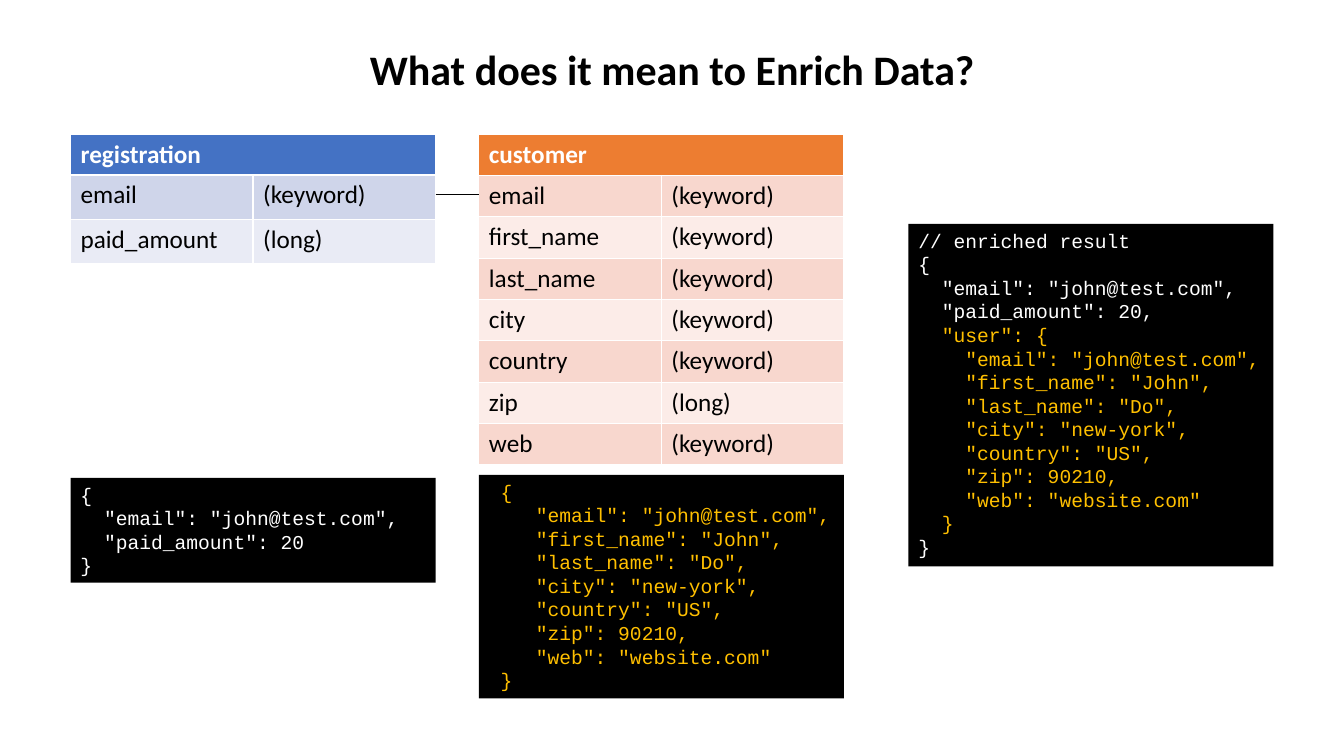
"""Build the slide that explains enriching a registration with customer data."""
from dataclasses import dataclass

from pptx import Presentation
from pptx.dml.color import RGBColor
from pptx.enum.shapes import MSO_CONNECTOR, MSO_SHAPE
from pptx.enum.text import MSO_ANCHOR, PP_ALIGN
from pptx.oxml import parse_xml
from pptx.util import Inches, Pt

BLACK = RGBColor(0x00, 0x00, 0x00)
WHITE = RGBColor(0xFF, 0xFF, 0xFF)
GOLD = RGBColor(0xFF, 0xC0, 0x00)
BLUE = RGBColor(0x44, 0x72, 0xC4)
BLUE_BANDS = (RGBColor(0xCF, 0xD5, 0xEA), RGBColor(0xE9, 0xEB, 0xF5))
ORANGE = RGBColor(0xED, 0x7D, 0x31)
ORANGE_BANDS = (RGBColor(0xF8, 0xD7, 0xCE), RGBColor(0xFC, 0xEC, 0xE8))

TEXT_FONT, CODE_FONT = "Calibri", "Courier New"
CODE_SIZE = 14
CODE_CHAR = Pt(CODE_SIZE * 0.6)
REGISTRATION_X, CUSTOMER_X, RESULT_X = 5.25, 35.63, 67.59
COLUMN_WIDTH = 27.16
TABLE_TOP = 17.73
LINK_Y = 25.73


@dataclass(frozen=True)
class FieldTable:
    name: str
    left: float
    header_height: float
    row_height: float
    header: RGBColor
    bands: tuple[RGBColor, RGBColor]
    fields: tuple[tuple[str, str], ...]


@dataclass(frozen=True)
class CodeLine:
    indent: int
    text: str
    color: RGBColor = WHITE


@dataclass(frozen=True)
class CodeBox:
    left: float
    top: float
    height: float
    lines: tuple[CodeLine, ...]


EMAIL = '"email": "john@test.com",'
CUSTOMER_VALUES = (EMAIL, '"first_name": "John",', '"last_name": "Do",', '"city": "new-york",',
                   '"country": "US",', '"zip": 90210,', '"web": "website.com"')
CUSTOMER_LINES = tuple(CodeLine(4, value, GOLD) for value in CUSTOMER_VALUES)

TABLES = (
    FieldTable("customer", CUSTOMER_X, 5.47, 5.47, ORANGE, ORANGE_BANDS, (
        ("email", "(keyword)"), ("first_name", "(keyword)"), ("last_name", "(keyword)"),
        ("city", "(keyword)"), ("country", "(keyword)"), ("zip", "(long)"), ("web", "(keyword)"))),
    FieldTable("registration", REGISTRATION_X, 4.93, 5.87, BLUE, BLUE_BANDS, (
        ("email", "(keyword)"), ("paid_amount", "(long)"))),
)

CODE_BOXES = (
    CodeBox(RESULT_X, 29.6, 45.33, (
        CodeLine(0, "// enriched result"), CodeLine(0, "{"), CodeLine(2, EMAIL),
        CodeLine(2, '"paid_amount": 20,'), CodeLine(2, '"user": {', GOLD),
        *CUSTOMER_LINES, CodeLine(2, "}", GOLD), CodeLine(0, "}"))),
    CodeBox(CUSTOMER_X, 62.8, 29.6, (
        CodeLine(1, "{", GOLD), *CUSTOMER_LINES, CodeLine(1, "}", GOLD))),
    CodeBox(REGISTRATION_X, 63.2, 13.87, (
        CodeLine(0, "{"), CodeLine(2, EMAIL), CodeLine(2, '"paid_amount": 20'), CodeLine(0, "}"))),
)

prs = Presentation()
prs.slide_width, prs.slide_height = Inches(13.33), Inches(7.5)


def across(percent: float) -> int:
    """Return a share of the slide's width."""
    return round(prs.slide_width * percent / 100)


def down(percent: float) -> int:
    """Return a share of the slide's height."""
    return round(prs.slide_height * percent / 100)


def add_run(paragraph, text: str, font: str, size: int, color: RGBColor, bold: bool = False) -> None:
    """Add one formatted run to a paragraph."""
    run = paragraph.add_run()
    run.text = text
    run.font.name, run.font.size, run.font.bold = font, Pt(size), bold
    run.font.color.rgb = color


def add_title(slide, text: str) -> None:
    """Move the title placeholder and write the heading in it."""
    title = slide.shapes.title
    title.left, title.top = across(26.56), down(5.07)
    title.width, title.height = across(46.96), down(8.13)
    title.text_frame.word_wrap = False
    title.text_frame.vertical_anchor = MSO_ANCHOR.MIDDLE
    paragraph = title.text_frame.paragraphs[0]
    paragraph.alignment = PP_ALIGN.CENTER
    add_run(paragraph, text, TEXT_FONT, 30, BLACK, True)


def fill_cell(cell, text: str, fill: RGBColor, color: RGBColor, bold: bool) -> None:
    """Colour a table cell and write its text."""
    cell.fill.solid()
    cell.fill.fore_color.rgb = fill
    add_run(cell.text_frame.paragraphs[0], text, TEXT_FONT, 18, color, bold)


def add_field_table(slide, spec: FieldTable) -> None:
    """Draw an index name above its banded list of fields."""
    count = len(spec.fields)
    height = down(spec.header_height + count * spec.row_height)
    table = slide.shapes.add_table(count + 1, 2, across(spec.left), down(TABLE_TOP),
                                   across(COLUMN_WIDTH), height).table
    table.rows[0].height = down(spec.header_height)
    table.cell(0, 0).merge(table.cell(0, 1))
    fill_cell(table.cell(0, 0), spec.name, spec.header, WHITE, True)
    for row, field in enumerate(spec.fields, 1):
        table.rows[row].height = down(spec.row_height)
        for column, text in enumerate(field):
            fill_cell(table.cell(row, column), text, spec.bands[(row - 1) % 2], BLACK, False)


def add_code_box(slide, spec: CodeBox) -> None:
    """Draw a black panel with one indented paragraph per code line."""
    box = slide.shapes.add_shape(MSO_SHAPE.RECTANGLE, across(spec.left), down(spec.top),
                                 across(COLUMN_WIDTH), down(spec.height))
    box.shadow.inherit = False
    box.fill.solid()
    box.fill.fore_color.rgb = BLACK
    box.line.fill.background()
    frame = box.text_frame
    frame.word_wrap = True
    frame.vertical_anchor = MSO_ANCHOR.TOP
    for number, line in enumerate(spec.lines):
        paragraph = frame.add_paragraph() if number else frame.paragraphs[0]
        paragraph.alignment = PP_ALIGN.LEFT
        paragraph_format = paragraph._p.get_or_add_pPr()
        paragraph_format.set("marL", str(line.indent * CODE_CHAR))
        paragraph_format.set("indent", "0")
        add_run(paragraph, line.text, CODE_FONT, CODE_SIZE, line.color)


def add_email_link(slide) -> None:
    """Join the email rows of the two tables."""
    link = slide.shapes.add_connector(MSO_CONNECTOR.STRAIGHT,
                                      across(REGISTRATION_X + COLUMN_WIDTH), down(LINK_Y),
                                      across(CUSTOMER_X), down(LINK_Y))
    link.line.color.rgb = BLACK
    link.line.width = Pt(0.5)
    link._element.spPr.append(parse_xml(
        '<a:effectLst xmlns:a="http://schemas.openxmlformats.org/drawingml/2006/main"/>'))


def main() -> None:
    """Assemble the slide and save it."""
    slide = prs.slides.add_slide(prs.slide_layouts.get_by_name("Title Only"))
    for table in TABLES:
        add_field_table(slide, table)
    add_title(slide, "What does it mean to Enrich Data?")
    add_email_link(slide)
    for box in CODE_BOXES:
        add_code_box(slide, box)
    prs.save("out.pptx")


main()
